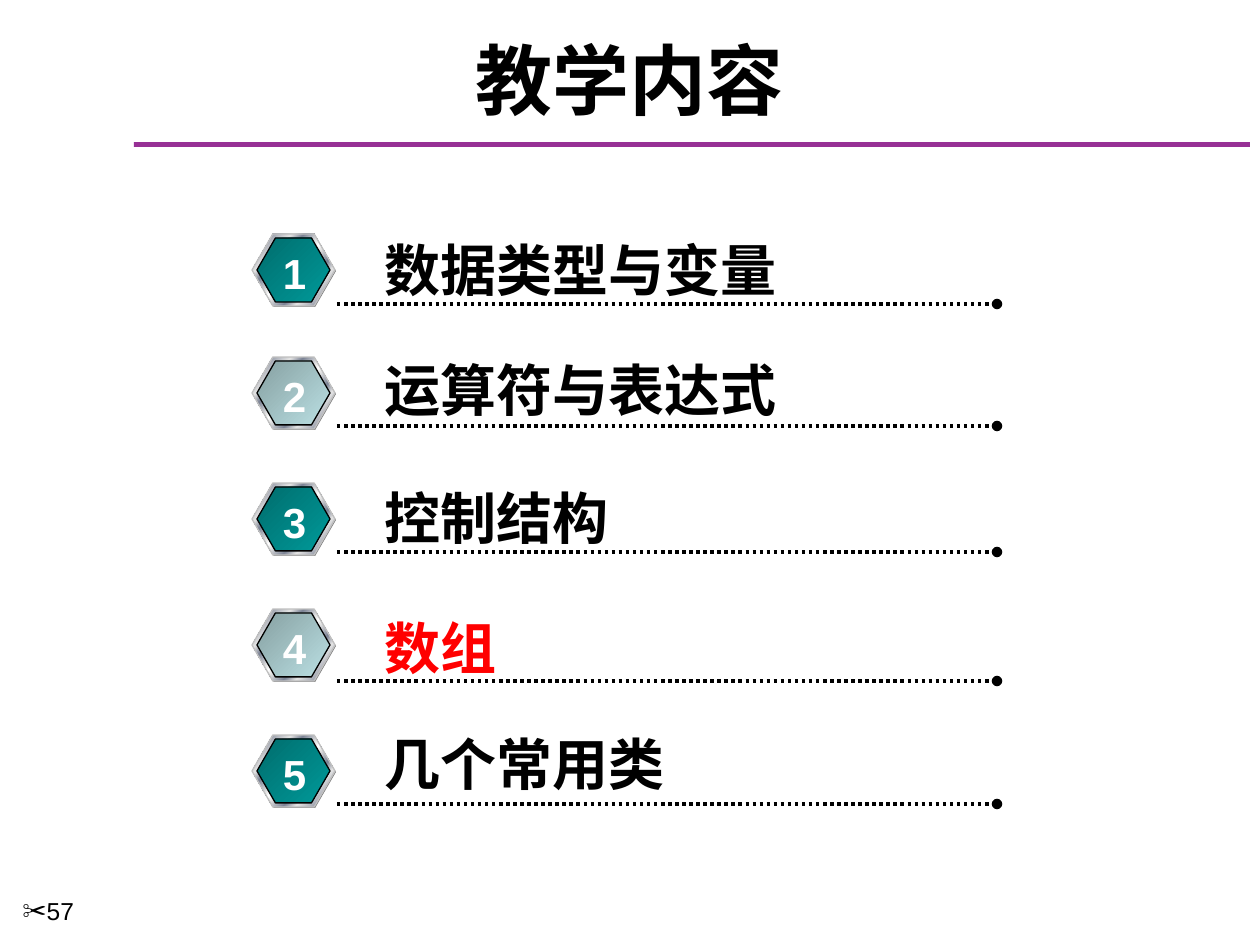
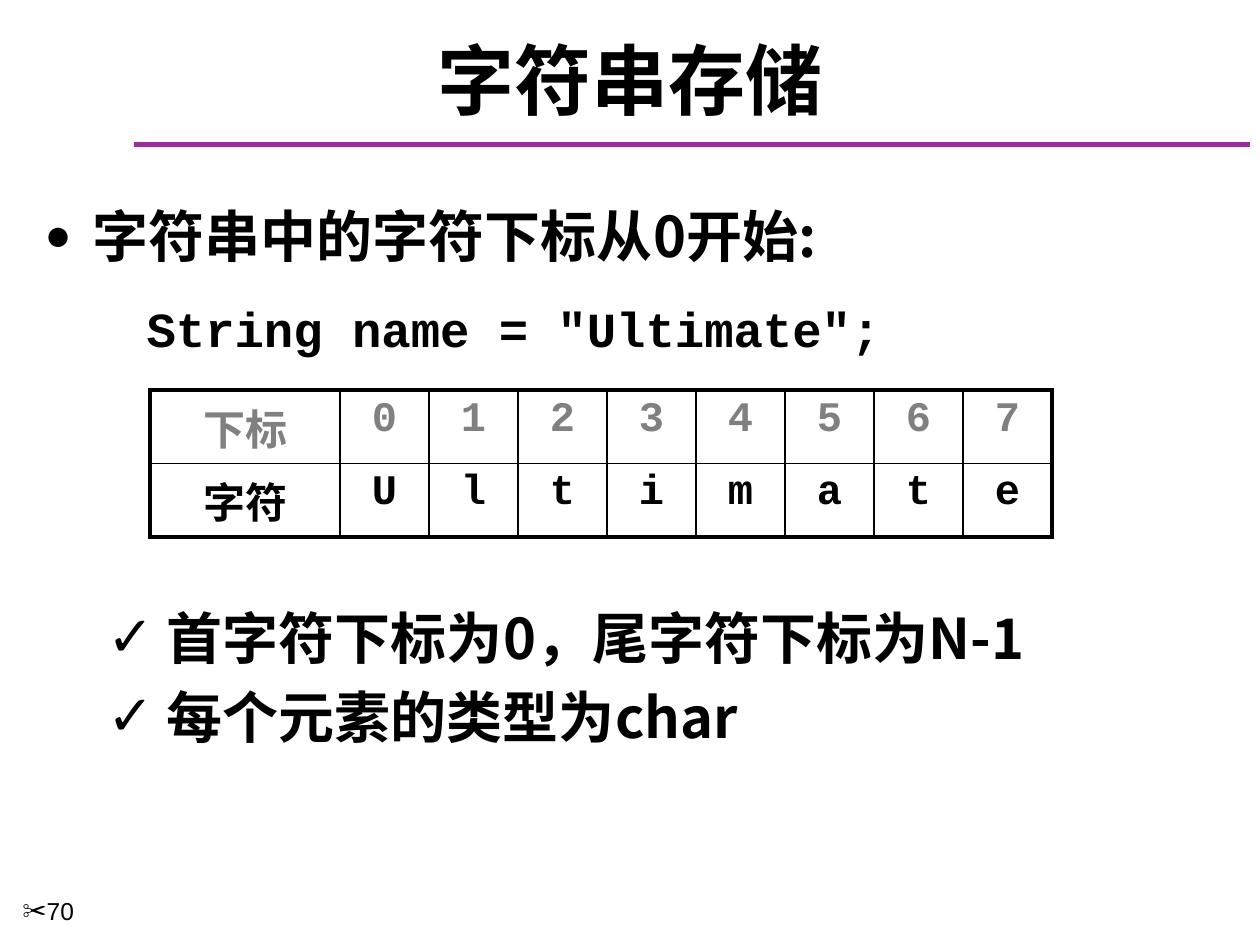
"""Build two lecture slides: a numbered agenda and a page on string storage."""
from dataclasses import dataclass

from lxml import etree
from pptx import Presentation
from pptx.dml.color import RGBColor
from pptx.enum.dml import MSO_LINE
from pptx.enum.shapes import MSO_CONNECTOR, MSO_SHAPE
from pptx.enum.text import MSO_ANCHOR, MSO_AUTO_SIZE, PP_ALIGN
from pptx.oxml.ns import qn
from pptx.util import Emu, Pt

PX_PER_INCH = 126
CENTER, LEFT = PP_ALIGN.CENTER, PP_ALIGN.LEFT
MIDDLE, TOP = MSO_ANCHOR.MIDDLE, MSO_ANCHOR.TOP
NO_FIT = MSO_AUTO_SIZE.NONE
HEXAGON, RECTANGLE = MSO_SHAPE.HEXAGON, MSO_SHAPE.RECTANGLE
STRAIGHT, DOTTED = MSO_CONNECTOR.STRAIGHT, MSO_LINE.ROUND_DOT
TITLE_AND_BODY, TITLE_ONLY = 1, 5

CJK, SANS, MONO = "Noto Sans CJK SC", "Arial", "Courier New"
BLACK, WHITE, RED, GRAY, SILVER = "000000", "FFFFFF", "FF0000", "808080", "C0C0C0"
PURPLE = "973095"
TEAL = ((0, "006D6D"), (100, "009999"))
PALE = ((0, "86A0A2"), (100, "BBE0E3"))
LIGHT, STEEL = "E6E6E6", "7D8496"
CHROME = ((0, LIGHT), (8, STEEL), (26, LIGHT), (34, STEEL), (46, LIGHT), (50, WHITE),
          (54, LIGHT), (66, STEEL), (74, LIGHT), (92, STEEL), (100, LIGHT))
CJK_LINE = Pt(42)


@dataclass(frozen=True)
class TextStyle:
    """Font of one span of text."""
    size: int
    name: str = CJK
    color: str = BLACK
    bold: bool = True


@dataclass(frozen=True)
class Topic:
    """One agenda row with the tops of its parts."""
    label: str
    text_top: int
    badge_top: int
    rule_y: int
    color: str = BLACK


@dataclass(frozen=True)
class BodyLine:
    """One paragraph of the body placeholder."""
    text: str
    style: TextStyle
    before: int
    margin: int
    hang: int = 0
    bullet: str = ""
    bullet_percent: int = 100
    level: int = 1
    spacing: Pt | float = CJK_LINE


TITLE = TextStyle(44)
NUMBER = TextStyle(14, SANS, bold=False)
BADGE = TextStyle(24, SANS, WHITE)
POINT = TextStyle(32)
CODE = TextStyle(28, MONO)

TOPICS = (
    Topic("数据类型与变量", 223, 234, 304),
    Topic("运算符与表达式", 343, 357, 426),
    Topic("控制结构", 471, 483, 552),
    Topic("数组", 601, 609, 681, RED),
    Topic("几个常用类", 717, 735, 804),
)
BODY_LINES = (
    BodyLine("字符串中的字符下标从0开始:", POINT, 0, 48, 48, "●", 80, 0),
    BodyLine('String name = "Ultimate";', CODE, 17, 102, spacing=1.0),
    BodyLine("首字符下标为0，尾字符下标为N-1", POINT, 137, 122, 59, "✓"),
    BodyLine("每个元素的类型为char", POINT, 3, 122, 59, "✓"),
)
WORD = "Ultimate"


def px(length: int) -> Emu:
    """Turn px into EMU."""
    return Emu(round(length * 914400 / PX_PER_INCH))


def rgb(color: str) -> RGBColor:
    """Turn a hex string into a colour."""
    return RGBColor.from_string(color)


def assign(target, values: dict) -> None:
    """Set each attribute named in the dict."""
    for name, value in values.items():
        setattr(target, name, value)


def place(shape, left: int, top: int, width: int, height: int) -> None:
    """Move and size a shape."""
    assign(shape, {"left": px(left), "top": px(top), "width": px(width), "height": px(height)})


def write(para, text: str, style: TextStyle, **layout) -> None:
    """Fill a paragraph with one formatted span."""
    assign(para, {"space_before": Pt(0), "space_after": Pt(0), **layout})
    span = para.add_run()
    span.text = text
    assign(span.font, {"size": Pt(style.size), "name": style.name, "bold": style.bold})
    span.font.color.rgb = rgb(style.color)
    etree.SubElement(span._r.get_or_add_rPr(), qn("a:ea"), typeface=CJK)


def set_bullet(para, char: str, margin: int, hang: int, percent: int = 100) -> None:
    """Give a paragraph its indent and its bullet, if any."""
    props = para._p.get_or_add_pPr()
    props.set("marL", str(px(margin)))
    props.set("indent", str(-px(hang)))
    if not char:
        etree.SubElement(props, qn("a:buNone"))
        return
    etree.SubElement(props, qn("a:buSzPct"), val=str(percent * 1000))
    etree.SubElement(props, qn("a:buFont"), typeface=SANS)
    etree.SubElement(props, qn("a:buChar"), char=char)


def add_label(shapes, area: tuple, text: str, style: TextStyle, wrap: bool = True, **layout):
    """Add a text box and return its paragraph."""
    box = shapes.add_textbox(*map(px, area))
    assign(box.text_frame, {"word_wrap": wrap, "auto_size": NO_FIT, "vertical_anchor": TOP})
    para = box.text_frame.paragraphs[0]
    write(para, text, style, **layout)
    return para


def add_plain(shapes, kind, area: tuple, fill: str | tuple, line: str = ""):
    """Add a shape with a solid or gradient fill and an optional thin outline."""
    shape = shapes.add_shape(kind, *map(px, area))
    shape.shadow.inherit = False
    if isinstance(fill, str):
        shape.fill.solid()
        shape.fill.fore_color.rgb = rgb(fill)
    else:
        shape.fill.gradient()
        shape.fill.gradient_angle = 315
        stops = shape._element.spPr.find(".//" + qn("a:gsLst"))
        for stop in list(stops):
            stops.remove(stop)
        for position, color in fill:
            stop = etree.SubElement(stops, qn("a:gs"), pos=str(position * 1000))
            etree.SubElement(stop, qn("a:srgbClr"), val=color)
    if line:
        shape.line.color.rgb = rgb(line)
        shape.line.width = Pt(0.75)
    else:
        shape.line.fill.background()
    return shape


def add_page(deck, layout: int, title: str, number: int):
    """Add a slide with its title, purple band and page number."""
    page = deck.slides.add_slide(deck.slide_layouts[layout])
    add_plain(page.shapes, RECTANGLE, (134, 142, 1116, 5), PURPLE)
    heading = page.shapes.title
    place(heading, 21, 32, 1218, 94)
    assign(heading.text_frame, {"vertical_anchor": MIDDLE, "auto_size": NO_FIT})
    write(heading.text_frame.paragraphs[0], title, TITLE, alignment=CENTER)
    para = add_label(page.shapes, (10, 890, 136, 55), str(number), NUMBER)
    set_bullet(para, "✂", 24, 24)
    return page


def add_badge(page, number: int, top: int, fill: tuple) -> None:
    """Add a grouped hexagon badge with its number."""
    badge = page.shapes.add_group_shape().shapes
    for area, paint, line in (
        ((253, top + 1, 83, 72), GRAY, ""),
        ((252, top, 83, 72), CHROME, SILVER),
        ((257, top + 4, 73, 64), fill, BLACK),
    ):
        add_plain(badge, HEXAGON, area, paint, line).adjustments[0] = 0.289
    add_label(badge, (270, top + 7, 49, 63), str(number), BADGE, wrap=False, alignment=CENTER)


def add_rule(page, y: int) -> None:
    """Add a dotted rule that ends in a dot."""
    rule = page.shapes.add_connector(STRAIGHT, px(337), px(y), px(997), px(y))
    rule.line.color.rgb = rgb(BLACK)
    assign(rule.line, {"width": Pt(2), "dash_style": DOTTED})
    etree.SubElement(rule.line._get_or_add_ln(), qn("a:tailEnd"), type="oval")
    etree.SubElement(rule._element.spPr, qn("a:effectLst"))


def add_topic(page, number: int, topic: Topic) -> None:
    """Add one agenda row."""
    add_rule(page, topic.rule_y)
    area = (372, topic.text_top, 56 * len(topic.label) + 28, 81)
    add_label(page.shapes, area, topic.label, TextStyle(32, SANS, topic.color),
              line_spacing=CJK_LINE)
    add_badge(page, number, topic.badge_top, TEAL if number % 2 else PALE)


def fill_body(body) -> None:
    """Move the body placeholder and write its lines."""
    place(body, 32, 189, 1176, 672)
    frame = body.text_frame
    assign(frame, {"auto_size": NO_FIT, "vertical_anchor": TOP, "word_wrap": True})
    for index, line in enumerate(BODY_LINES):
        para = frame.add_paragraph() if index else frame.paragraphs[0]
        write(para, line.text, line.style, level=line.level, alignment=LEFT,
              space_before=Pt(line.before), line_spacing=line.spacing)
        set_bullet(para, line.bullet, line.margin, line.hang, line.bullet_percent)


def set_borders(cell, thick_sides: set) -> None:
    """Draw the four borders of a cell, heavier on the outer sides."""
    props = cell._tc.get_or_add_tcPr()
    for index, side in enumerate("LRTB"):
        width = Pt(2.25) if side in thick_sides else Pt(1)
        border = etree.Element(qn(f"a:ln{side}"), w=str(width))
        fill = etree.SubElement(border, qn("a:solidFill"))
        etree.SubElement(fill, qn("a:srgbClr"), val=BLACK)
        props.insert(index, border)


def add_index_table(page) -> None:
    """Add the table that pairs each index with its character."""
    rows = (("下标", *map(str, range(len(WORD)))), ("字符", *WORD))
    last = len(WORD)
    area = (150, 390, 190 + 89 * last, 146)
    table = page.shapes.add_table(len(rows), last + 1, *map(px, area)).table
    assign(table, {"first_row": False, "horz_banding": False})
    for index, column in enumerate(table.columns):
        column.width = px(89 if index else 190)
    for row, values in enumerate(rows):
        table.rows[row].height = px(73)
        for column, text in enumerate(values):
            cell = table.cell(row, column)
            cell.fill.background()
            outer = {"L": column == 0, "R": column == last, "T": row == 0, "B": row == 1}
            set_borders(cell, {side for side, edge in outer.items() if edge})
            font = CJK if row and not column else MONO
            style = TextStyle(24, font, BLACK if row else GRAY)
            write(cell.text_frame.paragraphs[0], text, style, alignment=CENTER)


def main() -> None:
    """Build and save the deck."""
    deck = Presentation()
    assign(deck, {"slide_width": px(1260), "slide_height": px(945)})
    agenda = add_page(deck, TITLE_ONLY, "教学内容", 57)
    for number, topic in enumerate(TOPICS, 1):
        add_topic(agenda, number, topic)
    storage = add_page(deck, TITLE_AND_BODY, "字符串存储", 70)
    fill_body(storage.placeholders[1])
    add_index_table(storage)
    deck.save("out.pptx")


if __name__ == "__main__":
    main()
